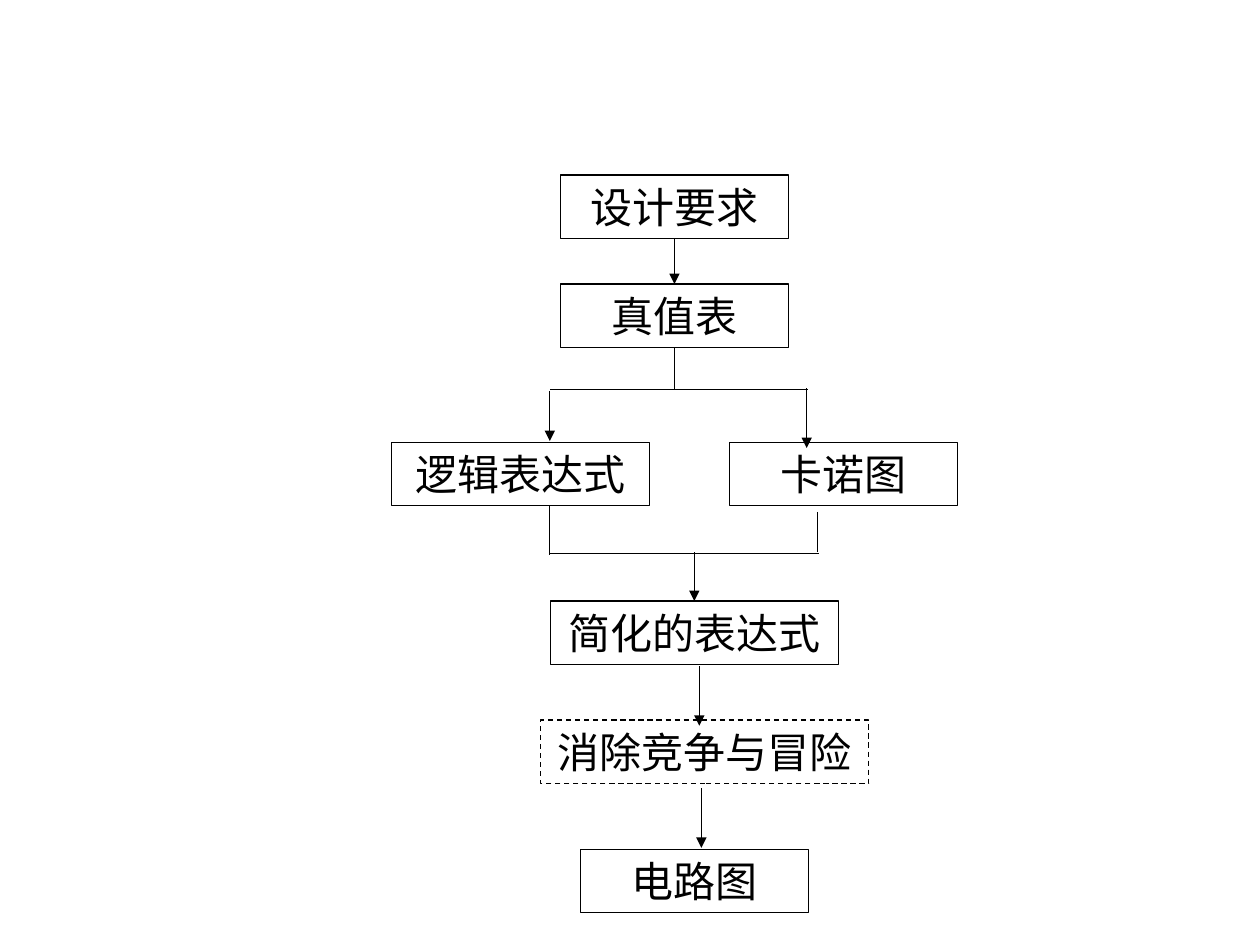
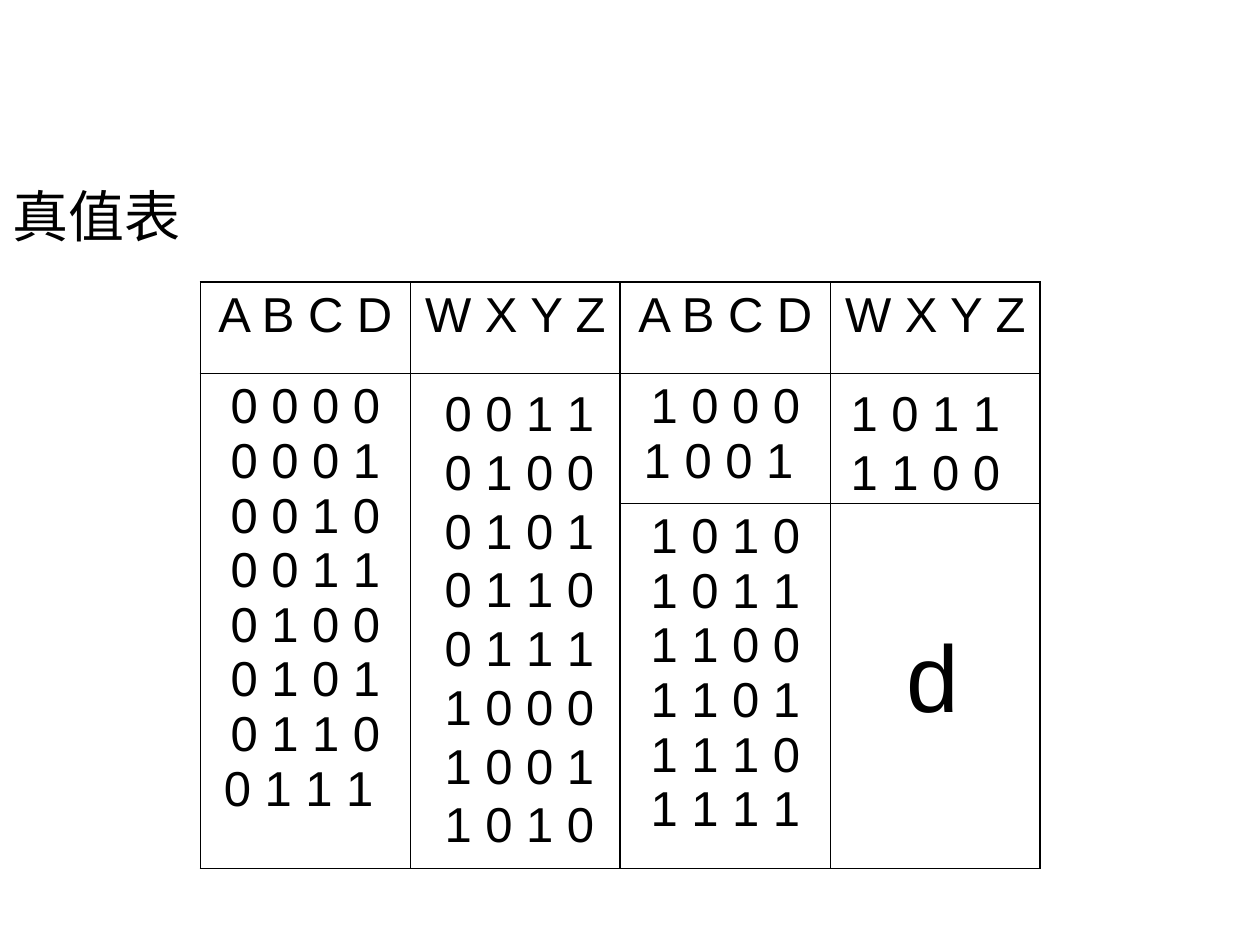
from pptx import Presentation
from pptx import util as u
from pptx.dml.color import RGBColor
from pptx.enum import dml, shapes, text
from pptx.oxml import parse_xml
from pptx.oxml.ns import nsdecls, qn

Pt = u.Pt
INK = "000000"
FONT = "Arial"


def colour(value):
    return RGBColor.from_string(value)


def write(frame, content, size, align, spacing=None):
    frame.word_wrap = True
    frame.auto_size = text.MSO_AUTO_SIZE.NONE
    frame.text = content
    line = frame.paragraphs[0]
    line.alignment = align
    if spacing:
        line.line_spacing = Pt(spacing)
    line.font.size = Pt(size)
    line.font.name = FONT
    line.font.color.rgb = colour(INK)


LEFT, CENTER = text.PP_ALIGN.LEFT, text.PP_ALIGN.CENTER
deck = Presentation()
deck.slide_width, deck.slide_height = Pt(720), Pt(540)

flow = deck.slides.add_slide(deck.slide_layouts[6])
steps = {}
for label, left, top, width in [
    ("设计要求", 320.2, 100, 130.5),
    ("真值表", 320.2, 162.3, 130.5),
    ("逻辑表达式", 223.6, 252.8, 147.8),
    ("卡诺图", 416.7, 252.8, 130.5),
    ("简化的表达式", 314.5, 343.5, 164.5),
    ("消除竞争与冒险", 309, 411.5, 187.5),
    ("电路图", 331.7, 485.3, 130.5),
]:
    step = flow.shapes.add_shape(
        shapes.MSO_SHAPE.RECTANGLE, Pt(left), Pt(top), Pt(width), Pt(36.2))
    step.shadow.inherit = False
    step.fill.background()
    step.line.color.rgb = colour(INK)
    step.line.width = Pt(0.75)
    step.text_frame.vertical_anchor = text.MSO_ANCHOR.MIDDLE
    write(step.text_frame, label, 24, CENTER)
    steps[label] = step
steps["消除竞争与冒险"].line.dash_style = dml.MSO_LINE.DASH

for x1, y1, x2, y2, arrow, source, target in [
    (385.5, 136.2, 385.5, 162.3, True, "设计要求", "真值表"),
    (385.45, 198.5, 385.45, 222.5, False, "真值表", None),
    (314.5, 222.5, 462, 222.5, False, None, None),
    (314.2, 223.5, 314.2, 252, True, None, None),
    (461, 222, 461, 256, True, None, None),
    (314.5, 316.2, 468, 316.2, False, None, None),
    (314.2, 289, 314.2, 317, False, None, None),
    (467.2, 292.5, 467.2, 315.5, False, None, None),
    (396.75, 315.5, 396.75, 343.5, True, None, "简化的表达式"),
    (399.6, 380.8, 399.6, 414.7, True, None, None),
    (400.8, 450.5, 400.8, 484.5, True, None, None),
]:
    link = flow.shapes.add_connector(
        shapes.MSO_CONNECTOR.STRAIGHT, Pt(x1), Pt(y1), Pt(x2), Pt(y2))
    if source:
        link.begin_connect(steps[source], 2)
    if target:
        link.end_connect(steps[target], 0)
    link.line.color.rgb = colour(INK)
    link.line.width = Pt(0.75)
    if arrow:
        link.line._get_or_add_ln().append(
            parse_xml(f'<a:tailEnd {nsdecls("a")} type="triangle"/>'))
    link._element.spPr.append(parse_xml(f'<a:effectLst {nsdecls("a")}/>'))

truth = deck.slides.add_slide(deck.slide_layouts[5])
heading = truth.shapes.title
heading.left, heading.top, heading.width, heading.height = Pt(0), Pt(100), Pt(136), Pt(46)
heading.text_frame.vertical_anchor = text.MSO_ANCHOR.MIDDLE
write(heading.text_frame, "真值表", 32, LEFT)

codes = [" ".join(f"{number:04b}") for number in range(16)]
grid = truth.shapes.add_table(3, 4, Pt(114.5), Pt(161.3), Pt(480), Pt(335)).table
grid.first_row = grid.horz_banding = False
for column in grid.columns:
    column.width = Pt(120)
for row, height in zip(grid.rows, (52, 74.2, 208.8)):
    row.height = Pt(height)
for col in (0, 1):
    grid.cell(1, col).merge(grid.cell(2, col))

entries = {(0, col): name for col, name in enumerate(["A B C D", "W X Y Z"] * 2)}
entries[1, 0] = "\v".join(codes[:8]) + " "
entries[1, 2] = "\v".join(codes[8:10]) + " "
entries[2, 2] = "\v".join(codes[10:])
OUTER, INNER, MIDDLE = 1.08, 0.45, 1.47
uprights = [OUTER, INNER, MIDDLE, INNER, OUTER]
for r in range(3):
    for c in range(4):
        cell = grid.cell(r, c)
        if cell.is_spanned:
            continue
        cell.fill.background()
        if (r, c) in entries:
            write(cell.text_frame, entries[r, c], 28, CENTER, 31.2)
        last = r == 2 or cell.is_merge_origin
        edges = {"lnL": uprights[c], "lnR": uprights[c + 1],
                 "lnT": INNER if r else OUTER, "lnB": OUTER if last else INNER}
        for place, (edge, weight) in enumerate(edges.items()):
            cell._tc.get_or_add_tcPr().insert(place, parse_xml(
                f'<a:{edge} {nsdecls("a")} w="{Pt(weight)}"><a:solidFill>'
                f'<a:srgbClr val="{INK}"/></a:solidFill></a:{edge}>'))

for content, left, top, height, size, align, spacing in [
    ("\v".join(codes[3:11]), 247, 213, 276.5, 28, LEFT, 33.6),
    ("\v".join(codes[11:13]), 479, 213, 75, 28, LEFT, 33.6),
    ("d", 479, 281.5, 140, 54, CENTER, None),
]:
    output = truth.shapes.add_textbox(Pt(left), Pt(top), Pt(108), Pt(height)).text_frame
    write(output, content, size, align, spacing)
    if spacing:
        output.margin_top = Pt(5.6)
    else:
        output.vertical_anchor = text.MSO_ANCHOR.BOTTOM

deck.save("out.pptx")
